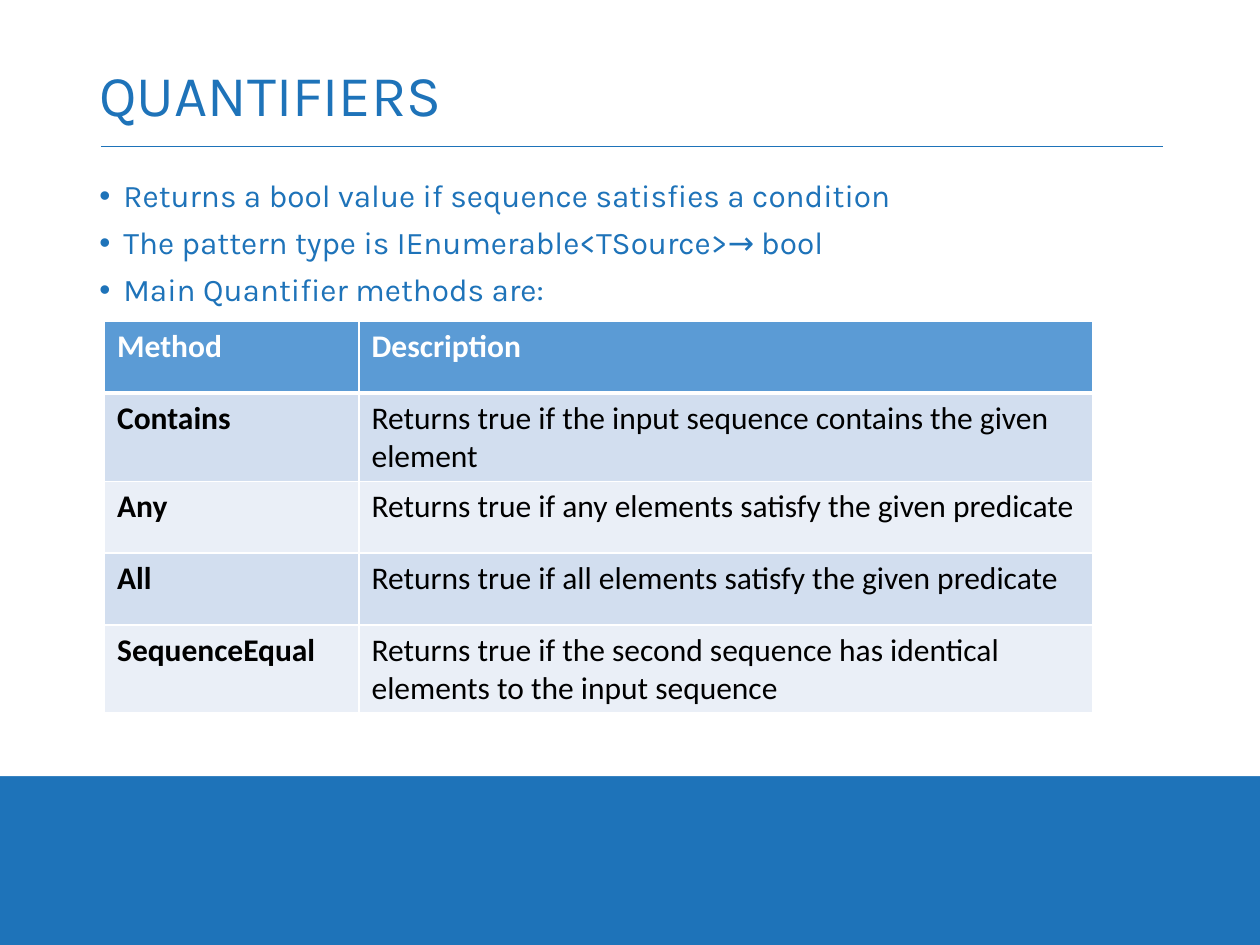
from dataclasses import dataclass
from typing import Any

import pptx
import pptx.dml.color
import pptx.enum.shapes
import pptx.enum.text
import pptx.oxml
import pptx.oxml.ns
import pptx.util
from pptx.util import Inches, Pt


def rgb(value: str) -> pptx.dml.color.RGBColor:
    return pptx.dml.color.RGBColor.from_string(value)


@dataclass(frozen=True)
class Theme:
    blue: str = "1E73B9"
    white: str = "FFFFFF"
    black: str = "000000"
    header: str = "5B9BD5"
    bands: tuple[str, str] = ("D2DEEF", "EAEFF7")
    heading_font: str = "Karla"
    table_font: str = "Calibri"
    title_size: int = 33
    body_size: int = 18


@dataclass(frozen=True)
class Box:
    left: float
    top: float
    width: float
    height: float

    def lengths(self) -> tuple[int, ...]:
        return tuple(Inches(v) for v in (self.left, self.top, self.width, self.height))


@dataclass(frozen=True)
class Method:
    name: str
    description: str


THEME = Theme()
BULLETS = (
    "Returns a bool value if sequence satisfies a condition",
    "The pattern type is IEnumerable<TSource>→ bool",
    "Main Quantifier methods are:",
)
HEADER = Method("Method", "Description")
METHODS = (
    Method("Contains", "Returns true if the input sequence contains the given element"),
    Method("Any", "Returns true if any elements satisfy the given predicate"),
    Method("All", "Returns true if all elements satisfy the given predicate"),
    Method("SequenceEqual",
           "Returns true if the second sequence has identical elements to the input sequence"),
)
COLUMN_WIDTHS = (2.02, 5.82)
ROW_HEIGHT = 0.57


def format_font(font: Any, color: str, **values: Any) -> None:
    for name, value in values.items():
        setattr(font, name, value)
    font.color.rgb = rgb(color)


def add_xml(parent: Any, markup: str) -> None:
    """Append an element of the drawing namespace."""
    tag, _, rest = markup.partition(" ")
    namespace = pptx.oxml.ns.nsdecls("a")
    parent.append(pptx.oxml.parse_xml(f"<a:{tag} {namespace} {rest}"))


def add_panel(slide: Any, box: Box) -> None:
    panel = slide.shapes.add_shape(pptx.enum.shapes.MSO_SHAPE.RECTANGLE, *box.lengths())
    panel.shadow.inherit = False
    panel.fill.solid()
    panel.fill.fore_color.rgb = rgb(THEME.white)
    panel.line.fill.background()


def add_rule(slide: Any, left: float, right: float, top: float) -> None:
    rule = slide.shapes.add_connector(
        pptx.enum.shapes.MSO_CONNECTOR.STRAIGHT,
        Inches(left), Inches(top), Inches(right), Inches(top))
    rule.line.color.rgb = rgb(THEME.blue)
    rule.line.width = Pt(0.5)
    add_xml(rule._element.spPr, "effectLst />")


def add_text(slide: Any, box: Box, lines: tuple[str, ...], size: int,
             anchor: Any, bulleted: bool = False) -> None:
    frame = slide.shapes.add_textbox(*box.lengths()).text_frame
    frame.word_wrap = True
    frame.vertical_anchor = anchor
    for index, line in enumerate(lines):
        paragraph = frame.paragraphs[0] if index == 0 else frame.add_paragraph()
        paragraph.text = line
        paragraph.line_spacing = 0.9
        paragraph.space_before = Pt(7.5 if index else 0)
        if bulleted:
            paragraph.alignment = pptx.enum.text.PP_ALIGN.JUSTIFY
            properties = paragraph._p.get_or_add_pPr()
            properties.set("marL", str(Inches(0.19)))
            properties.set("indent", str(Inches(-0.19)))
            add_xml(properties, 'buFont typeface="Arial"/>')
            add_xml(properties, 'buChar char="•"/>')
        format_font(paragraph.font, THEME.blue, name=THEME.heading_font, size=Pt(size))


def format_cell(cell: Any, text: str, fill: str, color: str, bold: bool,
                edge_widths: dict[str, float]) -> None:
    cell.text = text
    format_font(cell.text_frame.paragraphs[0].runs[0].font, color,
                name=THEME.table_font, size=Pt(THEME.body_size), bold=bold)
    properties = cell._tc.get_or_add_tcPr()
    for edge, width in edge_widths.items():
        add_xml(properties,
                f'ln{edge} w="{Pt(width)}"><a:solidFill><a:srgbClr val="{THEME.white}"/>'
                f"</a:solidFill></a:ln{edge}>")
    cell.fill.solid()
    cell.fill.fore_color.rgb = rgb(fill)


def add_method_table(slide: Any, left: float, top: float) -> None:
    rows = (HEADER, *METHODS)
    box = Box(left, top, sum(COLUMN_WIDTHS), ROW_HEIGHT * len(rows))
    table = slide.shapes.add_table(len(rows), len(COLUMN_WIDTHS), *box.lengths()).table
    for column, width in zip(table.columns, COLUMN_WIDTHS):
        column.width = Inches(width)
    for index, method in enumerate(rows):
        table.rows[index].height = Inches(ROW_HEIGHT)
        is_header = index == 0
        fill = THEME.header if is_header else THEME.bands[(index - 1) % 2]
        color = THEME.white if is_header else THEME.black
        edges = {"L": 1, "R": 1, "T": 3 if index == 1 else 1, "B": 3 if is_header else 1}
        for column, text in enumerate((method.name, method.description)):
            format_cell(table.cell(index, column), text, fill, color,
                        is_header or column == 0, edges)


def main() -> None:
    presentation = pptx.Presentation()
    presentation.slide_width = Inches(10)
    presentation.slide_height = Inches(7.5)
    slide = presentation.slides.add_slide(presentation.slide_layouts[6])
    slide.background.fill.solid()
    slide.background.fill.fore_color.rgb = rgb(THEME.blue)

    anchors = pptx.enum.text.MSO_ANCHOR
    add_panel(slide, Box(0, 0, 10, 6.16))
    add_rule(slide, 0.8, 9.23, 1.16)
    add_text(slide, Box(0.69, 0.4, 8.62, 0.76), ("QUANTIFIERS",),
             THEME.title_size, anchors.MIDDLE)
    add_text(slide, Box(0.69, 1.38, 8.62, 4.53), BULLETS,
             THEME.body_size, anchors.TOP, bulleted=True)
    add_method_table(slide, 0.83, 2.55)
    presentation.save("out.pptx")


if __name__ == "__main__":
    main()
